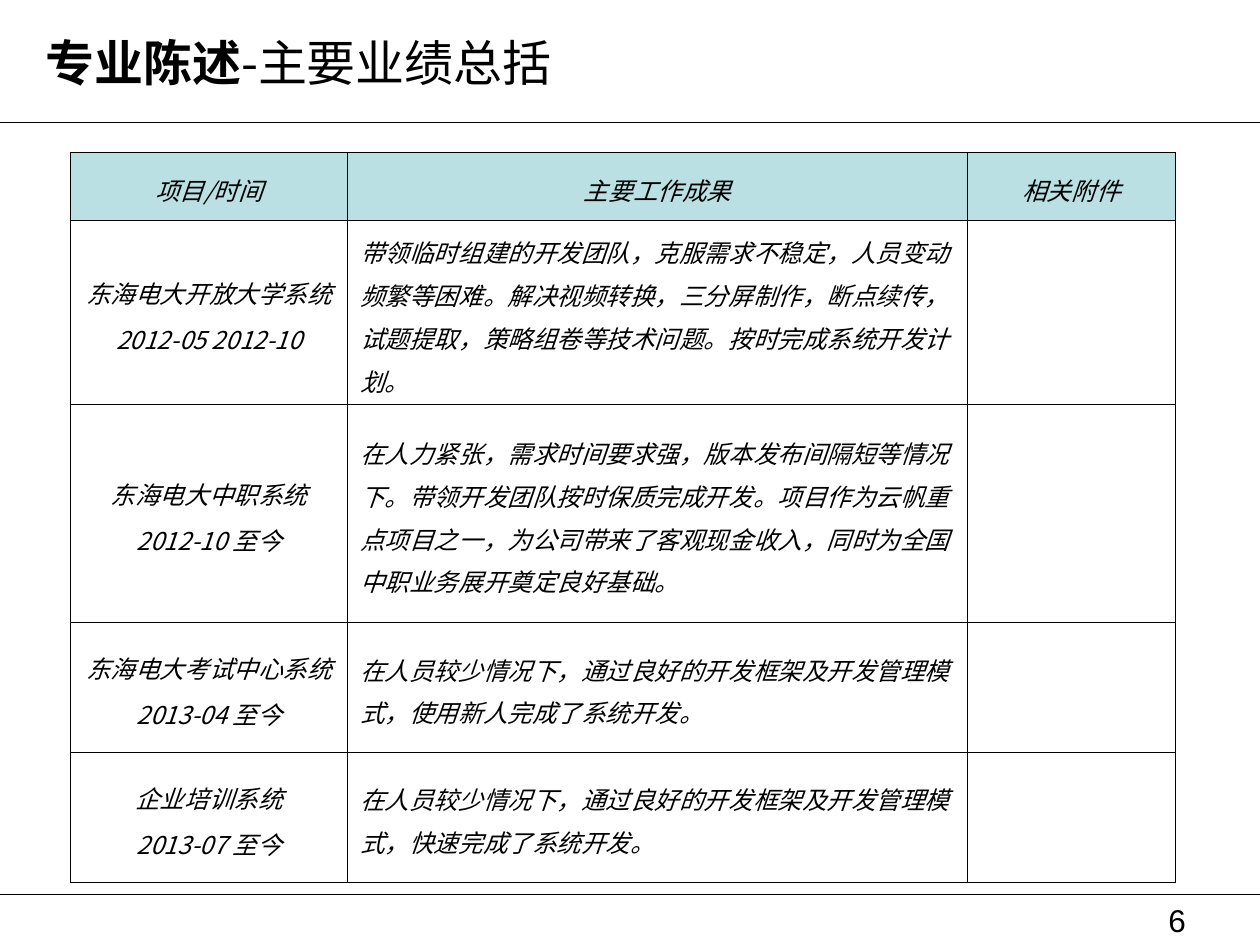
from dataclasses import dataclass

from lxml import etree
from pptx import Presentation
from pptx.dml.color import RGBColor
from pptx.enum.shapes import MSO_CONNECTOR
from pptx.enum.text import MSO_ANCHOR, MSO_AUTO_SIZE, PP_ALIGN
from pptx.oxml.ns import qn
from pptx.util import Inches, Pt

LEFT, CENTER, RIGHT = PP_ALIGN.LEFT, PP_ALIGN.CENTER, PP_ALIGN.RIGHT
TOP, MIDDLE = MSO_ANCHOR.TOP, MSO_ANCHOR.MIDDLE
STRAIGHT = MSO_CONNECTOR.STRAIGHT
NO_FIT = MSO_AUTO_SIZE.NONE


@dataclass
class Theme:
    ink: str = "000000"
    head: str = "BBE0E3"
    font: str = "Noto Sans CJK SC"
    digit: str = "Arial"
    title: int = 28
    number: int = 18
    body: int = 14
    rule: float = 0.26
    border: float = 0.45


class Page:
    def __init__(self, slide, theme):
        self.slide, self.theme = slide, theme

    def style(self, run, size, font, bold=False, italic=False):
        face = run.font
        face.name, face.size = font, Pt(size)
        face.bold, face.italic = bold, italic
        face.color.rgb = RGBColor.from_string(self.theme.ink)
        east = etree.SubElement(run._r.rPr, qn("a:ea"))
        east.set("typeface", font)

    def title(self, box, strong, rest):
        shape = self.slide.shapes.title
        shape.left, shape.top, shape.width, shape.height = map(Inches, box)
        frame = shape.text_frame
        frame.auto_size, frame.vertical_anchor = NO_FIT, TOP
        para = frame.paragraphs[0]
        para.alignment = LEFT
        for text, bold in ((strong, True), (rest, False)):
            run = para.add_run()
            run.text = text
            self.style(run, self.theme.title, self.theme.font, bold)

    def rule(self, y):
        line = self.slide.shapes.add_connector(
            STRAIGHT, Inches(0), Inches(y), Inches(10), Inches(y))
        line.line.color.rgb = RGBColor.from_string(self.theme.ink)
        line.line.width = Pt(self.theme.rule)
        etree.SubElement(line._element.spPr, qn("a:effectLst"))

    def number(self, box, text):
        frame = self.slide.shapes.add_textbox(*map(Inches, box)).text_frame
        frame.word_wrap = True
        frame.text = text
        para = frame.paragraphs[0]
        para.alignment = RIGHT
        self.style(para.runs[0], self.theme.number, self.theme.digit)

    def border(self, cell):
        props = cell._tc.get_or_add_tcPr()
        for spot, side in enumerate(("lnL", "lnR", "lnT", "lnB")):
            edge = etree.Element(qn("a:" + side), w=str(Pt(self.theme.border)))
            fill = etree.SubElement(edge, qn("a:solidFill"))
            etree.SubElement(fill, qn("a:srgbClr"), val=self.theme.ink)
            props.insert(spot, edge)

    def cell(self, cell, text, align, head):
        cell.vertical_anchor = MIDDLE
        cell.margin_left = cell.margin_right = Inches(0.1)
        cell.margin_top = cell.margin_bottom = Inches(0.05)
        if head:
            cell.fill.solid()
            cell.fill.fore_color.rgb = RGBColor.from_string(self.theme.head)
        else:
            cell.fill.background()
        self.border(cell)
        cell.text_frame.text = text
        for para in cell.text_frame.paragraphs:
            para.alignment = align
            para.line_spacing, para.space_before = 1.2, Pt(1.8)
            for run in para.runs:
                self.style(run, self.theme.body, self.theme.font, italic=True)

    def table(self, left, top, widths, heights, rows):
        table = self.slide.shapes.add_table(
            len(rows), len(widths), Inches(left), Inches(top),
            Inches(sum(widths)), Inches(sum(heights))).table
        table.horz_banding = False
        for col, width in zip(table.columns, widths):
            col.width = Inches(width)
        for row, height in zip(table.rows, heights):
            row.height = Inches(height)
        for r, texts in enumerate(rows):
            for c, text in enumerate(texts):
                align = LEFT if r and c == 1 else CENTER
                self.cell(table.cell(r, c), text, align, r == 0)


# Slide
deck = Presentation()
deck.slide_width, deck.slide_height = Inches(10), Inches(7.5)
page = Page(deck.slides.add_slide(deck.slide_layouts[5]), Theme())

# Title, rules and page number
page.title((0.26, 0.21, 9, 1.25), "专业陈述", "-主要业绩总括")
for y in (0.97, 7.1):
    page.rule(y)
page.number((8.93, 7.1, 0.58, 0.34), "6")

# Results table
rows = [
    ("项目/时间", "主要工作成果", "相关附件"),
    ("东海电大开放大学系统\n2012-05 2012-10",
     "带领临时组建的开发团队，克服需求不稳定，人员变动频繁等困难。"
     "解决视频转换，三分屏制作，断点续传，试题提取，策略组卷等技术问题。"
     "按时完成系统开发计划。", ""),
    ("东海电大中职系统\n2012-10 至今",
     "在人力紧张，需求时间要求强，版本发布间隔短等情况下。"
     "带领开发团队按时保质完成开发。项目作为云帆重点项目之一，"
     "为公司带来了客观现金收入，同时为全国中职业务展开奠定良好基础。", ""),
    ("东海电大考试中心系统\n2013-04 至今",
     "在人员较少情况下，通过良好的开发框架及开发管理模式，"
     "使用新人完成了系统开发。", ""),
    ("企业培训系统\n2013-07 至今",
     "在人员较少情况下，通过良好的开发框架及开发管理模式，"
     "快速完成了系统开发。", ""),
]
page.table(0.56, 1.21, (2.2, 4.92, 1.65), (0.54, 1.46, 1.73, 1.03, 1.03), rows)

deck.save("out.pptx")
